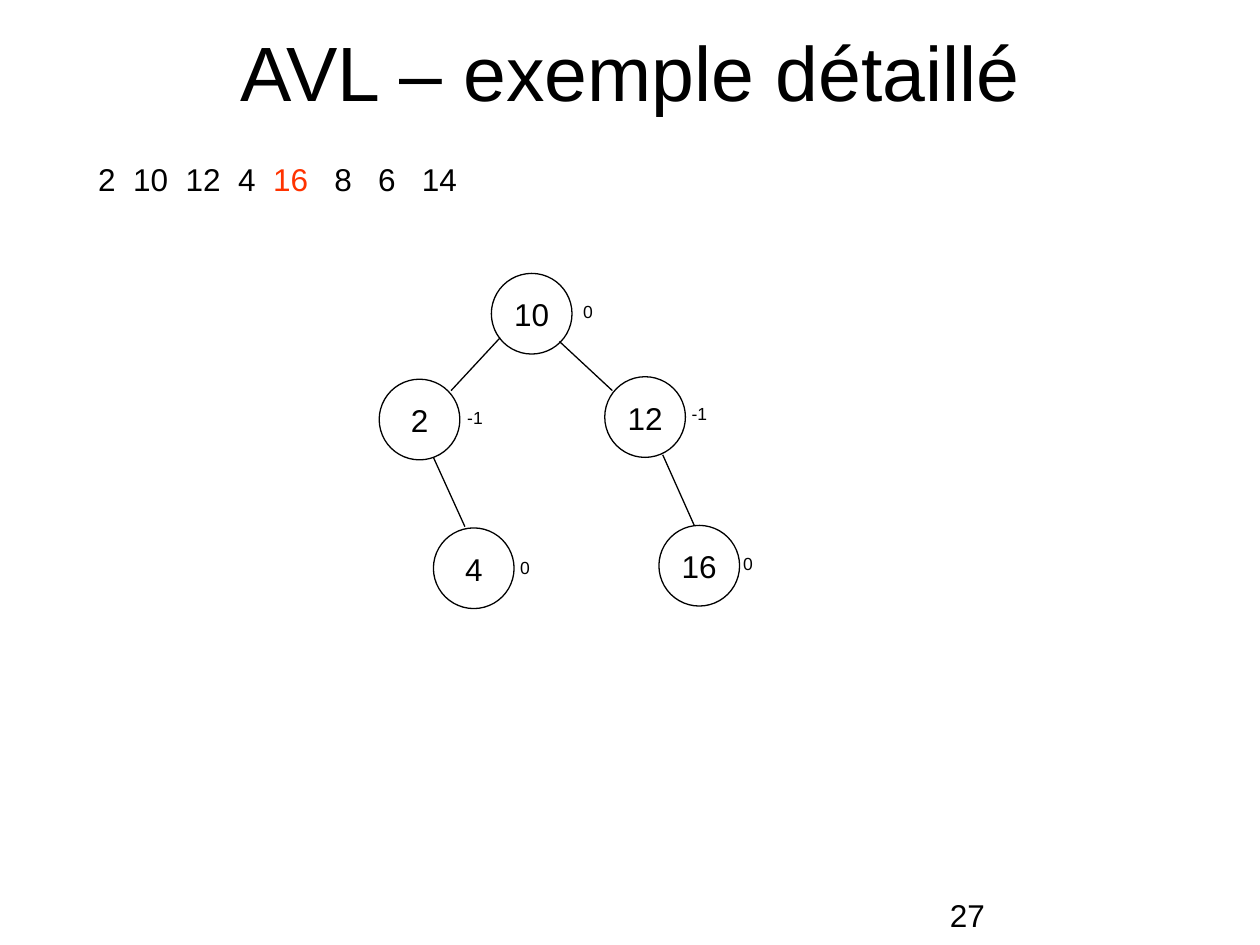
from pptx import Presentation
from pptx.dml.color import RGBColor
from pptx.enum.shapes import MSO_CONNECTOR, MSO_SHAPE
from pptx.enum.text import MSO_ANCHOR, PP_ALIGN
from pptx.oxml.ns import qn
from pptx.util import Inches, Pt
from lxml import etree

BLACK = RGBColor(0x00, 0x00, 0x00)
RED = RGBColor(0xFF, 0x33, 0x00)
ELLIPSE = MSO_SHAPE.OVAL
STRAIGHT = MSO_CONNECTOR.STRAIGHT
LEFT, CENTER = PP_ALIGN.LEFT, PP_ALIGN.CENTER
TOP, MIDDLE = MSO_ANCHOR.TOP, MSO_ANCHOR.MIDDLE

# Grid of 100 columns by 75 rows on a 10 x 7.5 inch slide
COLUMNS, ROWS = 100, 75
NODE_SIZE = 6.4
DIGIT_WIDTH, LABEL_HEIGHT = 1.4, 3


class TreeSlide:
    font = "Arial"
    line_width = Pt(0.75)

    def __init__(self, presentation):
        self.slide = presentation.slides.add_slide(presentation.slide_layouts[6])
        self.column = presentation.slide_width / COLUMNS
        self.row = presentation.slide_height / ROWS

    def place(self, *lengths):
        """Turn alternating columns and rows into slide lengths."""
        units = (self.column, self.row) * 2
        return [round(length * unit) for length, unit in zip(lengths, units)]

    def text(self, box, parts, size=18, align=LEFT, anchor=TOP,
             wrap=False, margins=(1, 0.5), shapes=None):
        """Add a text box from (text, colour) parts."""
        shapes = self.slide.shapes if shapes is None else shapes
        frame = shapes.add_textbox(*self.place(*box)).text_frame
        frame.word_wrap = wrap
        frame.vertical_anchor = anchor
        side, edge = self.place(*margins)
        frame.margin_left = frame.margin_right = side
        frame.margin_top = frame.margin_bottom = edge
        paragraph = frame.paragraphs[0]
        paragraph.alignment = align
        for wording, colour in parts:
            run = paragraph.add_run()
            run.text = wording
            run.font.name = self.font
            run.font.size = Pt(size)
            run.font.color.rgb = colour

    def node(self, left, top, key):
        """Group a circle with its centred key."""
        group = self.slide.shapes.add_group_shape()
        circle = group.shapes.add_shape(
            ELLIPSE, *self.place(left, top, NODE_SIZE, NODE_SIZE))
        circle.shadow.inherit = False
        circle.fill.background()
        circle.line.color.rgb = BLACK
        circle.line.width = self.line_width
        width = DIGIT_WIDTH * len(key)
        box = (left + (NODE_SIZE - width) / 2, top + 1.75, width, LABEL_HEIGHT)
        self.text(box, [(key, BLACK)], align=CENTER, margins=(0, 0),
                  shapes=group.shapes)

    def balance(self, left, top, factor):
        """Write the balance factor beside a node."""
        width = 2.7 if len(factor) == 1 else 3.2
        self.text((left, top, width, 2.7), [(factor, BLACK)], size=10)

    def edge(self, *ends):
        connector = self.slide.shapes.add_connector(STRAIGHT, *self.place(*ends))
        connector.line.color.rgb = BLACK
        connector.line.width = self.line_width
        etree.SubElement(connector._element.spPr, qn("a:effectLst"))


def main():
    presentation = Presentation()
    presentation.slide_width = Inches(10)
    presentation.slide_height = Inches(7.5)
    tree = TreeSlide(presentation)

    # Title and insertion sequence, with the current key in red
    tree.text((2, 1.3, 96.1, 8.7), [("AVL – exemple détaillé", BLACK)],
              size=44, align=CENTER, anchor=MIDDLE, wrap=True)
    tree.text((6.8, 12.2, 31.9, 4),
              [("2  10  12  4  ", BLACK), ("16 ", RED), ("  8   6   14", BLACK)])

    # Nodes: position, key, then position and value of the balance factor
    nodes = [
        (39, 21.7, "10", 45.3, 23.4, "0"),
        (48, 29.9, "12", 53.9, 31.5, "-1"),
        (30.1, 30.1, "2", 36.1, 31.8, "-1"),
        (34.4, 41.9, "4", 40.3, 43.7, "0"),
        (52.3, 41.7, "16", 58, 43.4, "0"),
    ]
    for left, top, key, factor_left, factor_top, factor in nodes:
        tree.node(left, top, key)
        tree.balance(factor_left, factor_top, factor)

    # Edges between parents and children
    edges = [
        (44.4, 27.1, 48.6, 31),
        (35.8, 31, 39.7, 26.8),
        (34.4, 36.3, 36.9, 41.8),
        (52.6, 36.1, 55.1, 41.7),
    ]
    for ends in edges:
        tree.edge(*ends)

    # Page number
    tree.text((74.4, 70.6, 23.6, 2.8), [("27", BLACK)], wrap=True)

    presentation.save("out.pptx")


if __name__ == "__main__":
    main()
